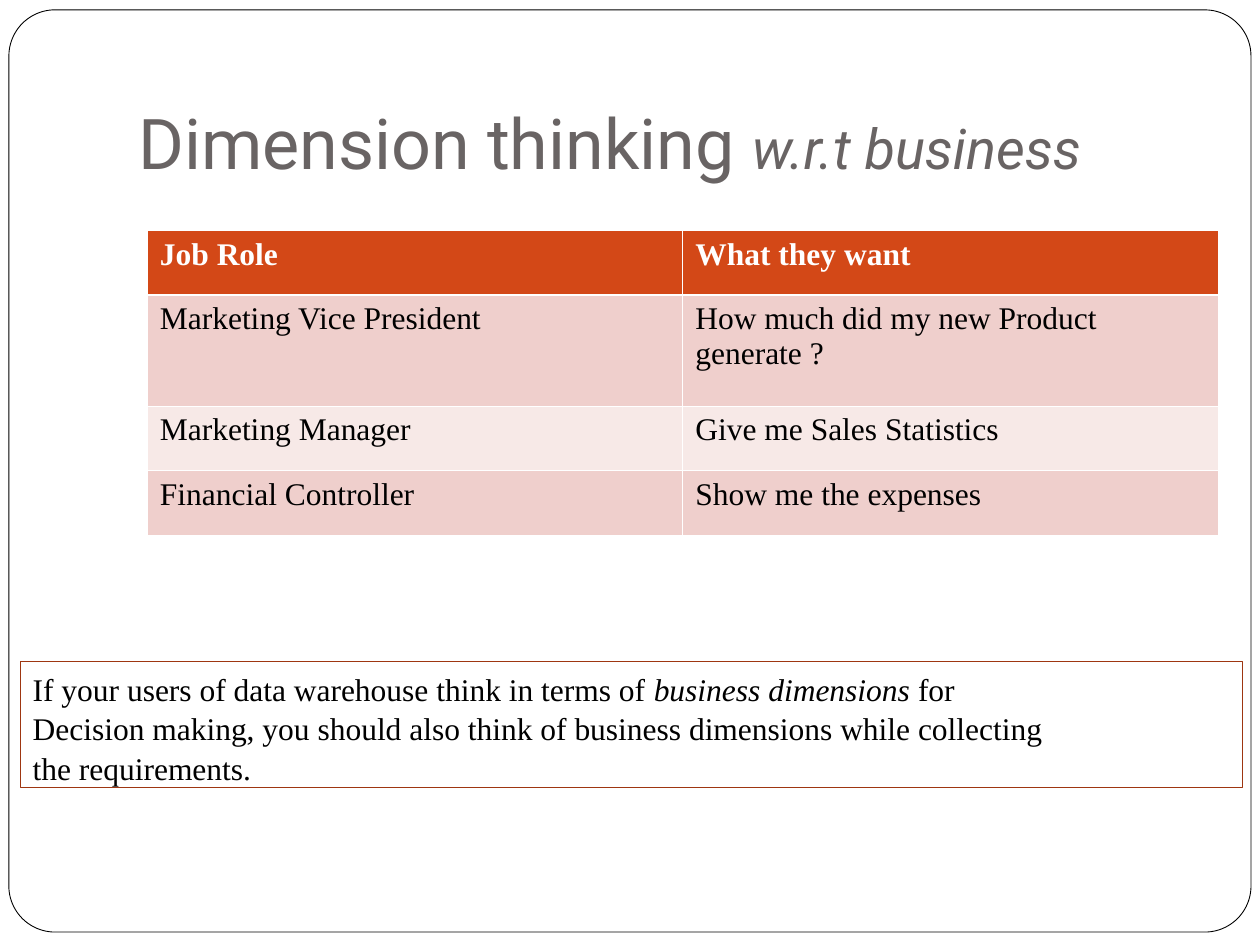
from dataclasses import dataclass
from typing import NamedTuple

from lxml import etree
from pptx import Presentation
from pptx import util as u
from pptx.dml.color import RGBColor
from pptx.enum import shapes, text
from pptx.oxml.ns import qn


@dataclass(frozen=True)
class Theme:
    white: str = "FFFFFF"
    black: str = "000000"
    title: str = "696464"
    header: str = "D34817"
    bands: tuple[str, str] = ("EFCFCC", "F7E9E7")
    note_border: str = "9E3611"
    title_font: str = "Roboto"
    body_font: str = "Times New Roman"
    title_size: float = 40
    subtitle_size: float = 32
    body_size: float = 18
    thin_rule: float = 0.45
    header_rule: float = 1.47


class Box(NamedTuple):
    left: float
    top: float
    width: float
    height: float

    def lengths(self) -> list[u.Cm]:
        return [u.Cm(value) for value in self]


@dataclass(frozen=True)
class Role:
    job: str
    want: str
    height: float = 1.3


THEME = Theme()
HEADER = Role("Job Role", "What they want")
ROLES = [
    Role("Marketing Vice President", "How much did my new Product generate ?", 2.24),
    Role("Marketing Manager", "Give me Sales Statistics"),
    Role("Financial Controller", "Show me the expenses"),
]
NOTE = [
    [("If your users of data warehouse think in terms of ", False),
     ("business dimensions ", True), ("for ", False)],
    [("Decision making, you should also think of business dimensions while collecting ", False)],
    [("the requirements. ", False)],
]


def add_run(paragraph, wording: str, *, size: float = THEME.body_size,
            font: str = THEME.body_font, color: str = THEME.black,
            bold: bool = False, italic: bool = False) -> None:
    run = paragraph.add_run()
    run.text = wording
    run.font.size = u.Pt(size)
    run.font.name = font
    run.font.color.rgb = RGBColor.from_string(color)
    run.font.bold = bold
    run.font.italic = italic


def add_panel(slide, kind, box: Box, border: str, weight: float, fill: str | None = None):
    panel = slide.shapes.add_shape(kind, *box.lengths())
    panel.shadow.inherit = False
    if fill:
        panel.fill.solid()
        panel.fill.fore_color.rgb = RGBColor.from_string(fill)
    else:
        panel.fill.background()
    panel.line.color.rgb = RGBColor.from_string(border)
    panel.line.width = u.Pt(weight)
    return panel


def add_title(slide, box: Box) -> None:
    frame = slide.shapes.add_textbox(*box.lengths()).text_frame
    frame.word_wrap = True
    frame.vertical_anchor = text.MSO_ANCHOR.BOTTOM
    frame.margin_bottom = u.Cm(0.25)
    heading = frame.paragraphs[0]
    add_run(heading, "Dimension thinking ", size=THEME.title_size,
            font=THEME.title_font, color=THEME.title)
    add_run(heading, "w.r.t business", size=THEME.subtitle_size,
            font=THEME.title_font, color=THEME.title, italic=True)


def set_borders(cell, top: float, bottom: float) -> None:
    weights = {"lnL": THEME.thin_rule, "lnR": THEME.thin_rule, "lnT": top, "lnB": bottom}
    properties = cell._tc.get_or_add_tcPr()
    for position, (side, weight) in enumerate(weights.items()):
        rule = etree.Element(qn(f"a:{side}"), w=str(u.Pt(weight)))
        paint = etree.SubElement(rule, qn("a:solidFill"))
        etree.SubElement(paint, qn("a:srgbClr"), val=THEME.white)
        properties.insert(position, rule)


def add_roles(slide, box: Box) -> None:
    rows = [HEADER, *ROLES]
    table = slide.shapes.add_table(len(rows), 2, *box.lengths()).table
    for index, role in enumerate(rows):
        is_header = index == 0
        table.rows[index].height = u.Cm(role.height)
        for cell, wording in zip(table.rows[index].cells, (role.job, role.want)):
            cell.fill.solid()
            cell.fill.fore_color.rgb = RGBColor.from_string(
                THEME.header if is_header else THEME.bands[(index - 1) % 2])
            add_run(cell.text_frame.paragraphs[0], wording, bold=is_header,
                    color=THEME.white if is_header else THEME.black)
            set_borders(cell,
                        top=THEME.header_rule if index == 1 else THEME.thin_rule,
                        bottom=THEME.header_rule if is_header else THEME.thin_rule)


def add_note(slide, box: Box) -> None:
    note = add_panel(slide, shapes.MSO_SHAPE.RECTANGLE, box, THEME.note_border, 0.75)
    frame = note.text_frame
    frame.word_wrap = True
    frame.vertical_anchor = text.MSO_ANCHOR.TOP
    for index, line in enumerate(NOTE):
        paragraph = frame.add_paragraph() if index else frame.paragraphs[0]
        paragraph.alignment = text.PP_ALIGN.JUSTIFY
        paragraph.line_spacing = 1.05
        for wording, italic in line:
            add_run(paragraph, wording, italic=italic)


def main() -> None:
    deck = Presentation()
    deck.slide_width, deck.slide_height = u.Cm(25.4), u.Cm(19.05)
    slide = deck.slides.add_slide(deck.slide_layouts[6])
    border = add_panel(slide, shapes.MSO_SHAPE.ROUNDED_RECTANGLE,
                       Box(0.18, 0.2, 25.04, 18.59), THEME.black, 0.5, THEME.white)
    border.adjustments[0] = 0.05
    add_title(slide, Box(2.54, 0.76, 21.59, 3.18))
    add_roles(slide, Box(2.97, 4.65, 21.59, 6.14))
    add_note(slide, Box(0.41, 13.34, 24.64, 2.54))
    deck.save("out.pptx")


if __name__ == "__main__":
    main()
